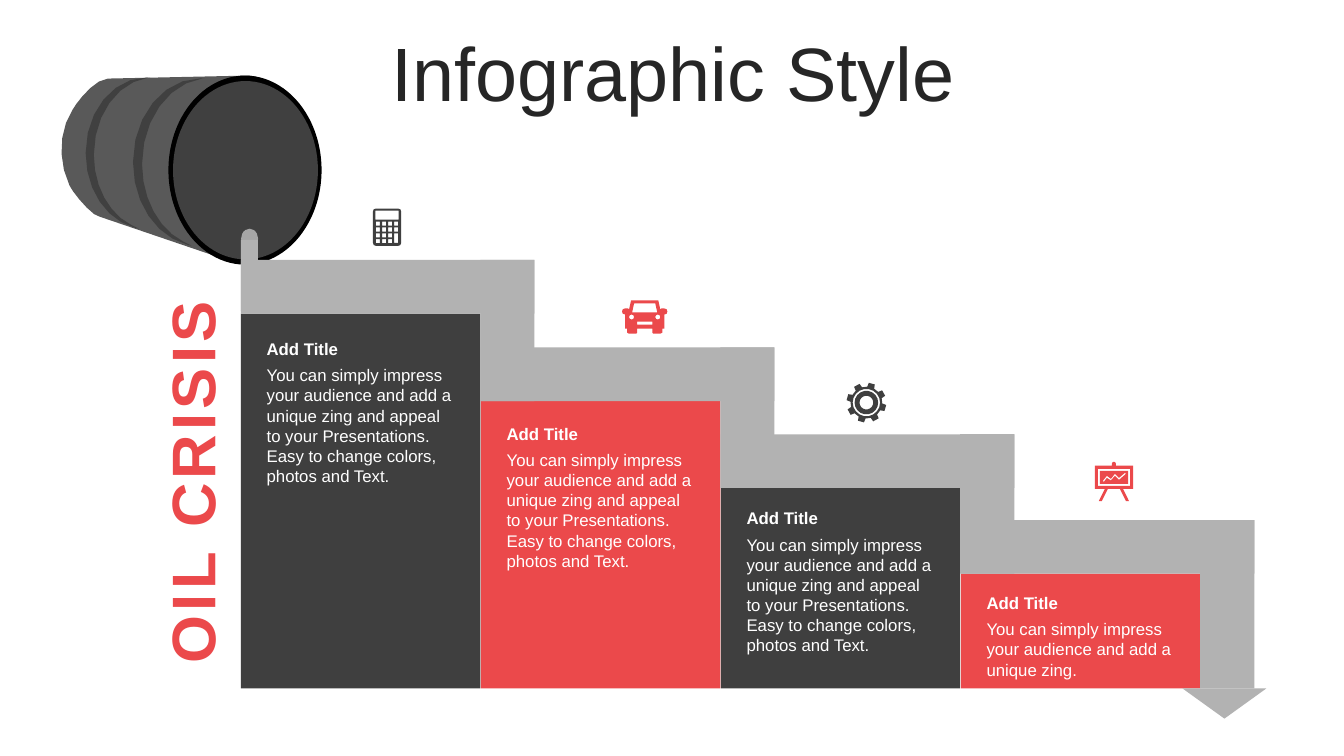
from dataclasses import dataclass
from math import cos, radians, sin

from pptx import Presentation
from pptx import util as u
from pptx.dml.color import RGBColor
from pptx.enum import shapes, text

KIND = shapes.MSO_SHAPE
ALIGN = text.PP_ALIGN
ANCHOR = text.MSO_ANCHOR


@dataclass(frozen=True)
class Theme:
    """Colours, font and type sizes."""
    font: str = "Arial"
    ink: str = "262626"
    dark: str = "3F3F3F"
    red: str = "EB494B"
    pale: str = "B2B2B2"
    spout: str = "A6A6A6"
    steel: str = "595959"
    band: str = "404040"
    black: str = "000000"
    white: str = "FFFFFF"
    head: int = 54
    side: int = 44
    body: int = 12


def trace(steps, parts=2):
    """Turn points and cubic curves into one loop of points."""
    loop = []
    for step in steps:
        if len(step) == 2:
            loop.append(step)
            continue
        nodes = [loop[-1], step[:2], step[2:4], step[4:]]
        for n in range(1, parts + 1):
            t = n / parts
            mix = ((1 - t) ** 3, 3 * t * (1 - t) ** 2, 3 * t * t * (1 - t), t ** 3)
            loop.append(tuple(sum(m * p[a] for m, p in zip(mix, nodes)) for a in (0, 1)))
    return loop


def box(x, y, w, h):
    """Return a rectangle loop."""
    return [(x, y), (x + w, y), (x + w, y + h), (x, y + h)]


def turn(x, y, r, angle):
    """Return the point at an angle on a circle."""
    return x + r * cos(radians(angle)), y + r * sin(radians(angle))


def disc(x, y, r, sides):
    """Return a circle loop."""
    return [turn(x, y, r, 360 * n / sides) for n in range(sides)]


class Deck:
    """Draws styled elements on the current slide."""

    def __init__(self, theme):
        """Open a blank wide slide."""
        self.theme = theme
        self.file = Presentation()
        self.file.slide_width, self.file.slide_height = u.Pt(960), u.Pt(540)
        self.slide = self.file.slides.add_slide(self.file.slide_layouts[6])

    def paint(self, shape, color):
        """Give a shape a flat fill."""
        shape.shadow.inherit = False
        shape.fill.solid()
        shape.fill.fore_color.rgb = RGBColor.from_string(color)
        shape.line.fill.background()
        return shape

    def shape(self, kind, x, y, w, h, color):
        """Add a preset shape."""
        item = self.slide.shapes.add_shape(kind, *map(u.Pt, (x, y, w, h)))
        return self.paint(item, color)

    def free(self, x, y, loops, color, unit=0.72):
        """Add an outline of loops drawn on a grid of the given unit."""
        fine = [[(a * 100, b * 100) for a, b in loop] for loop in loops]
        pen = self.slide.shapes.build_freeform(*fine[0][0], scale=u.Pt(unit) / 100)
        for n, loop in enumerate(fine):
            if n:
                pen.move_to(*loop[0])
            pen.add_line_segments(loop[1:], close=True)
        return self.paint(pen.convert_to_shape(u.Pt(x), u.Pt(y)), color)

    def text(self, words, x, y, w, h, color, size, bold=False,
             anchor=ANCHOR.TOP, align=ALIGN.LEFT, lead=1.0):
        """Add a text box with one paragraph."""
        item = self.slide.shapes.add_textbox(*map(u.Pt, (x, y, w, h)))
        frame = item.text_frame
        para = frame.paragraphs[0]
        run = para.add_run()
        run.text = words
        run.font.color.rgb = RGBColor.from_string(color)
        looks = ((frame, {"word_wrap": True, "vertical_anchor": anchor}),
                 (para, {"alignment": align, "line_spacing": lead}),
                 (run.font, {"name": self.theme.font, "size": u.Pt(size), "bold": bold}))
        for part, look in looks:
            for key, value in look.items():
                setattr(part, key, value)
        return item


def barrel(deck):
    """Draw the tipped oil barrel."""
    t = deck.theme
    hull = trace([(176, 187), (38, 140), (31, 140, 11, 116, 8, 109),
                  (-4, 84, -2, 54, 11, 34), (15, 27, 32, 4, 46, 3), (186, 0),
                  (194, 0, 208, 6, 208, 14), (208, 173), (208, 181, 184, 187, 176, 187)], 5)
    hoop = trace([(67, 0), (71, 0), (69, 0), (35, 5, 9, 41, 9, 85),
                  (9, 120, 26, 150, 50, 162), (58, 166), (54, 165),
                  (23, 157, 0, 124, 0, 83), (0, 37, 30, 0, 67, 0)], 6)
    deck.free(43.9, 54, [hull], t.steel)
    deck.shape(KIND.OVAL, 120.3, 54, 109.4, 135, t.black)
    deck.free(95, 56, [hoop], t.band)
    deck.free(61.2, 55.4, [hoop], t.band, 0.65)
    deck.shape(KIND.OVAL, 123.6, 57.9, 103.5, 127.4, t.band)
    deck.shape(KIND.OVAL, 172.2, 163.4, 12.2, 14.4, t.spout)


def stairs(deck):
    """Draw the columns, the oil flow and the step texts."""
    t = deck.theme
    left, pitch, floor, flow = 172.1, 171.4, 491.7, 38.3
    tops = [224, 286.5, 348.5, 409.8]
    long = ("You can simply impress your audience and add a unique zing and appeal "
            "to your Presentations. Easy to change colors, photos and Text.")
    notes = [long] * 3 + ["You can simply impress your audience and add a unique zing."]
    for n, top in enumerate(tops):
        deck.shape(KIND.RECTANGLE, left + n * pitch, top, 171, floor - top,
                   (t.dark, t.red)[n % 2])
    for n, (top, end) in enumerate(zip(tops, tops[1:] + [floor])):
        x, y = left + n * pitch, top - flow
        deck.shape(KIND.RECTANGLE, x, y, pitch + flow, flow, t.pale)
        deck.shape(KIND.RECTANGLE, x + pitch - 0.4, y, flow + 0.4, end - y, t.pale)
    deck.shape(KIND.RECTANGLE, left, 171.4, 12.2, 51, t.pale)
    deck.shape(KIND.ISOSCELES_TRIANGLE, 844.6, floor, 60, 21.6, t.pale).rotation = 180
    for n, note in enumerate(notes):
        x, y = 183.4 + n * pitch, 238.3 + n * 60.5
        tall = 94.3 if note == long else 51.1
        deck.text(note, x, y + 18.8, 148.3, tall, t.white, t.body)
        deck.text("Add Title", x, y, 148.3, 21.6, t.white, t.body, True)


def icons(deck):
    """Draw the icon above each step."""
    t = deck.theme
    case = trace([(3, 0), (25, 0), (27, 0, 28, 1, 28, 3), (28, 34), (28, 36, 27, 37, 25, 37),
                  (3, 37), (1, 37, 0, 36, 0, 34), (0, 3), (0, 1, 1, 0, 3, 0)])
    keys = [box(3 + 6 * c, 13 + 5.8 * r, 4, 9.6 if (r, c) == (2, 3) else 4)
            for r in range(4) for c in range(4) if (r, c) != (3, 3)]
    deck.free(266.4, 149, [case, box(2.5, 2, 23, 9)] + keys, t.dark)

    half = trace([(36, 0), (38, 9), (39, 8), (42, 8), (44, 8, 45, 9, 45, 11),
                  (45, 13, 44, 14, 42, 14), (42, 28), (40, 28), (40, 32),
                  (38, 33), (31, 33), (30, 32), (30, 28)])
    car = half + [(45 - x, y) for x, y in reversed(half)]
    glass = [(12, 3), (33, 3), (35, 12), (10, 12)]
    deck.free(444.3, 214.6, [car, glass, disc(9.5, 16.5, 2.5, 8), disc(35.5, 16.5, 2.5, 8),
                             box(15, 21, 15, 3)], t.red)

    teeth = [turn(0, 0, r, 16 + 45 * n + a) for n in range(8)
             for r, a in ((15.8, -13), (19.8, -9), (19.8, 9), (15.8, 13))]
    deck.free(618.9, 287.6, [teeth] + [disc(0, 0, r, 18) for r in (13.6, 11.7, 6.8)], t.dark)

    stand = trace([(17, 4), (17, 2), (17, 1, 18, 0, 19, 0), (20, 0, 21, 1, 21, 2), (21, 4),
                   (38, 4), (38, 27), (28, 27), (34, 39), (31, 39), (25, 27), (13, 27),
                   (7, 39), (4, 39), (10, 27), (0, 27), (0, 4)])
    graph = [(30, 11), (24, 16), (20, 12), (16, 17), (12, 14), (8, 19), (9, 20),
             (12, 16), (16, 18.5), (20, 14), (24, 18), (31, 12)]
    deck.free(782, 329.8, [stand, box(3, 7, 32, 17), box(5, 9, 28, 13), graph], t.red)


def main():
    """Build and save the slide."""
    deck = Deck(Theme())
    t = deck.theme
    barrel(deck)
    deck.text("Infographic Style", 25.2, 26.6, 911.5, 56.9, t.ink, t.head,
              anchor=ANCHOR.MIDDLE, align=ALIGN.CENTER, lead=0.9)
    stairs(deck)
    side = deck.text("OIL CRISIS", -14.4, 322.6, 295.9, 43.9, t.red, t.side, True,
                     ANCHOR.MIDDLE, ALIGN.CENTER, 1.1)
    side.rotation = 270
    side.text_frame.paragraphs[0].runs[0]._r.get_or_add_rPr().set("spc", "300")
    icons(deck)
    deck.file.save("out.pptx")


if __name__ == "__main__":
    main()
